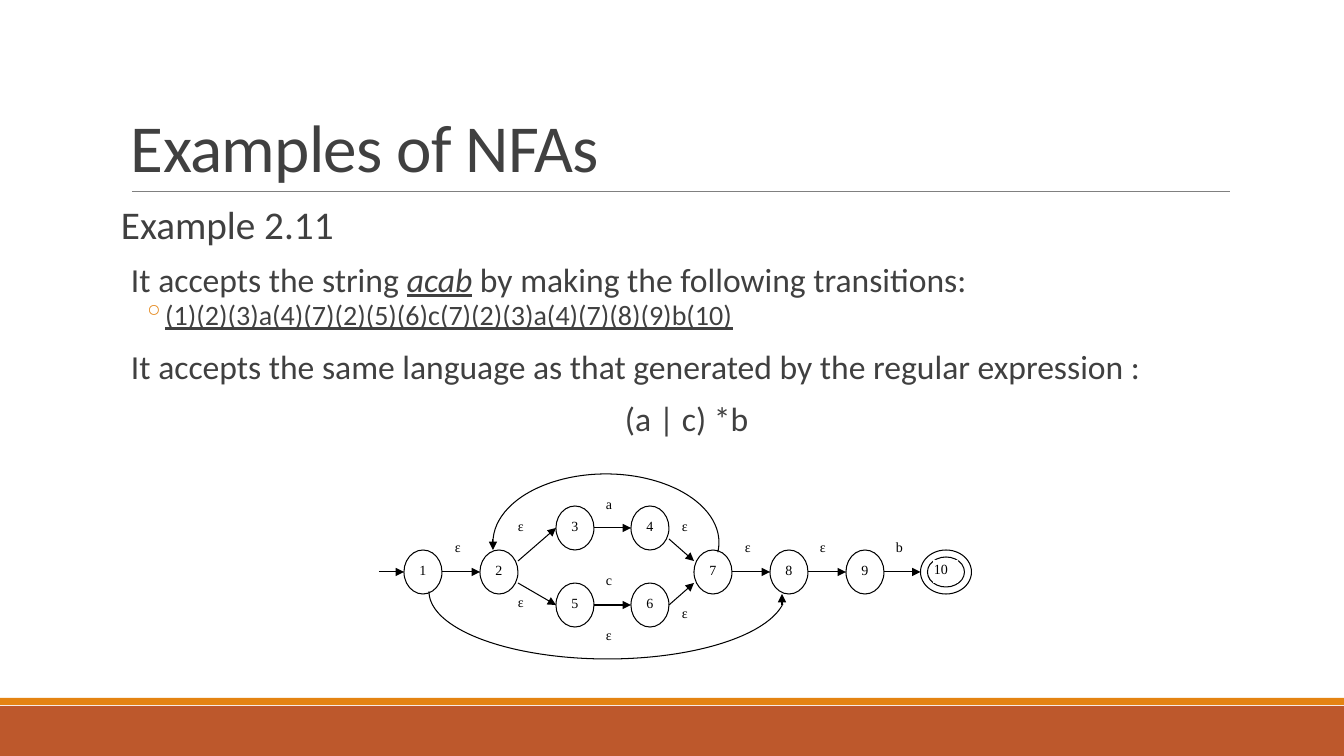
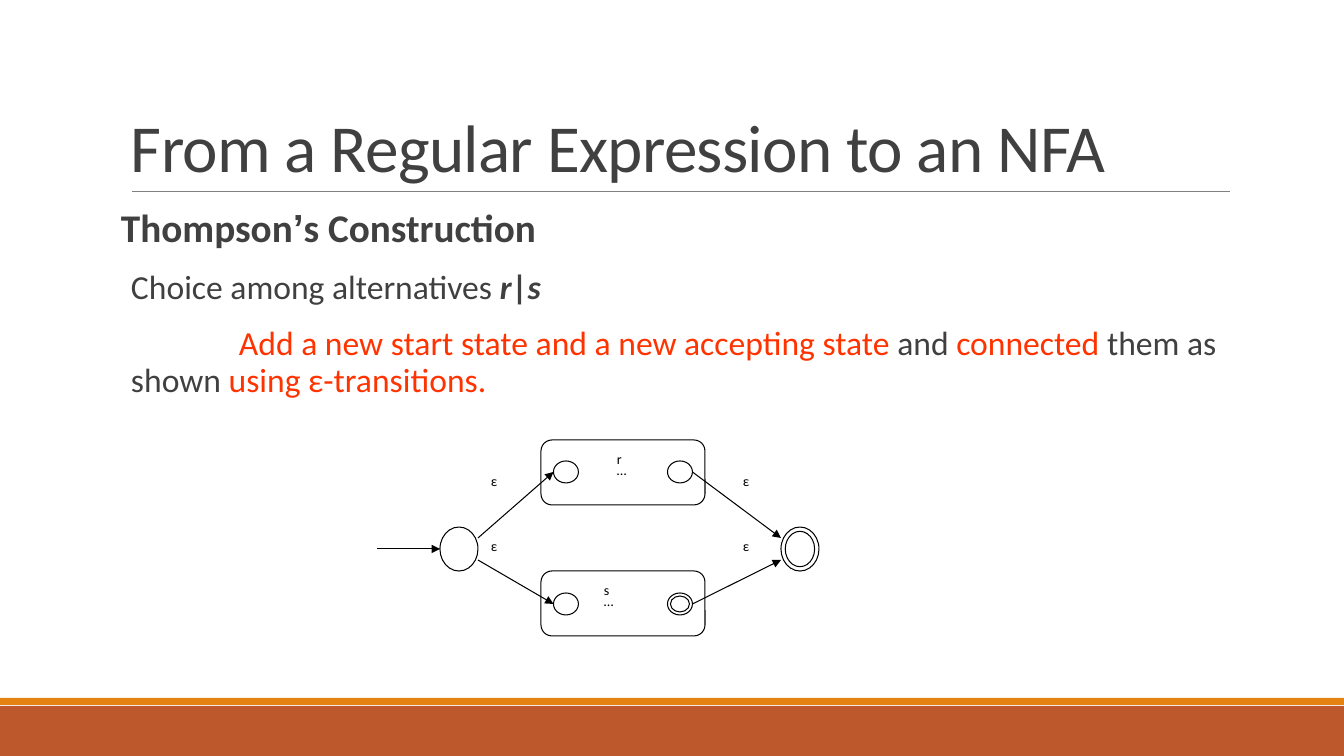
from lxml import etree
from pptx import Presentation
from pptx.dml.color import RGBColor
from pptx.enum.shapes import MSO_CONNECTOR, MSO_SHAPE
from pptx.enum.text import MSO_ANCHOR, PP_ALIGN
from pptx.oxml.ns import qn
from pptx.util import Pt

RECT, ROUNDED = MSO_SHAPE.RECTANGLE, MSO_SHAPE.ROUNDED_RECTANGLE
ELLIPSE, DONUT, ARC = MSO_SHAPE.OVAL, MSO_SHAPE.DONUT, MSO_SHAPE.ARC
STRAIGHT = MSO_CONNECTOR.STRAIGHT
LEFT, CENTER = PP_ALIGN.LEFT, PP_ALIGN.CENTER
TOP, BOTTOM = MSO_ANCHOR.TOP, MSO_ANCHOR.BOTTOM

WHITE = RGBColor(0xFF, 0xFF, 0xFF)
BLACK = RGBColor(0x00, 0x00, 0x00)
TEXT = RGBColor(0x40, 0x40, 0x40)
GRAY = RGBColor(0x80, 0x80, 0x80)
ORANGE = RGBColor(0xE4, 0x83, 0x12)
RUST = RGBColor(0xBD, 0x58, 0x2C)
RED = RGBColor(0xFF, 0x33, 0x00)

EMU_PER_PX = 9144000 / 1008
SLIDE_SIZE = (1344, 756)
BANDS = [((0, 706, 1344, 50), RUST), ((0, 698, 1344, 7), ORANGE)]
TITLE_RULE = ((132, 191), (1230, 191))
TITLE_BOX = (121, 31, 1109, 160)
BODY_BOX = (121, 204, 1109, 251)
STATE_SIZE, SMALL_STATE = (38, 44), (25, 22)
LABEL_SIZE = (12, 22)
SLANT = 11  # vertical offset of slanted edges at a state's side

# Paragraph styles: left margin and first-line indent in px, the rest in points
HEADING = {"size": 28, "left": 10, "first": -10, "before": 12, "after": 2}
POINT = {"size": 24, "left": 10, "first": 0, "before": 12, "after": 2}
SUBPOINT = {"size": 20, "left": 42, "first": -20, "before": 2, "after": 4, "bullet": "◦"}
FORMULA = {**POINT, "left": 504}
INDENTED = {**POINT, "first": 108}

MID, UPPER, LOWER = 572, 528, 605
R_ROW, S_ROW, CENTER_ROW = 472, 604, 549

SLIDES = [
    {
        "title": "Examples of NFAs",
        "line_spacing": 0.8,
        "body": [
            (HEADING, [("Example 2.11", {})]),
            (POINT, [
                ("It accepts the string ", {}),
                ("acab", {"italic": True, "underline": True}),
                (" by making the following transitions:", {}),
            ]),
            (SUBPOINT, [("(1)(2)(3)a(4)(7)(2)(5)(6)c(7)(2)(3)a(4)(7)(8)(9)b(10)",
                         {"underline": True})]),
            (POINT, [("It accepts the same language as that generated by "
                      "the regular expression :", {})]),
            (FORMULA, [("(a | c) *b", {})]),
        ],
        "font": "Times New Roman",
        "boxes": [],
        # name: (center x, center y, size, gap to the inner ring)
        "states": {
            "1": (423, MID, STATE_SIZE, 0),
            "2": (499, MID, STATE_SIZE, 0),
            "3": (575, UPPER, STATE_SIZE, 0),
            "4": (650, UPPER, STATE_SIZE, 0),
            "5": (575, LOWER, STATE_SIZE, 0),
            "6": (650, LOWER, STATE_SIZE, 0),
            "7": (713, MID, STATE_SIZE, 0),
            "8": (789, MID, STATE_SIZE, 0),
            "9": (865, MID, STATE_SIZE, 0),
            "10": (946, MID, (51, 44), 7),
        },
        "captions": "123456789",
        "entry": ("1", 379),
        # from, to, offset at the start, offset at the end
        "edges": [
            ("1", "2", 0, 0), ("2", "3", -SLANT, 0), ("2", "5", SLANT, 0),
            ("3", "4", 0, 0), ("5", "6", 0, 0), ("4", "7", SLANT, -SLANT),
            ("6", "7", 0, SLANT), ("7", "8", 0, 0), ("8", "9", 0, 0),
            ("9", "10", 0, 0),
        ],
        "labels": [
            ("ε", 455, 539), ("ε", 518, 518), ("ε", 518, 594), ("a", 606, 496),
            ("c", 606, 572), ("ε", 682, 518), ("ε", 682, 605), ("ε", 745, 539),
            ("ε", 820, 539), ("b", 896, 539), ("ε", 606, 627), ("10", 934, 561),
        ],
        # ellipse box, start and end angle, arrowhead line
        "arcs": [
            ((429, 524, 357, 135), (4, 180), ((782, 605), (782, 594))),
            ((493, 474, 226, 137), (177, 5), ((493, 539), (493, 550))),
        ],
    },
    {
        "title": "From a Regular Expression to an NFA",
        "line_spacing": 0.9,
        "body": [
            (HEADING, [
                ("Thompson", {"bold": True}),
                ("’", {"bold": True, "name": "Arial"}),
                ("s Construction", {"bold": True}),
            ]),
            (POINT, [
                ("Choice among alternatives ", {}),
                ("r", {"bold": True, "italic": True}),
                ("|", {"bold": True}),
                ("s", {"bold": True, "italic": True}),
            ]),
            (INDENTED, [
                ("Add a new start state and a new accepting state", {"color": RED}),
                (" and ", {}),
                ("connected", {"color": RED}),
                (" them as shown", {}),
                (" using ε-transitions.", {"color": RED}),
            ]),
        ],
        "font": "Calibri",
        "boxes": [(541, 440, 164, 65), (541, 571, 164, 65)],
        "states": {
            "start": (459, CENTER_ROW, STATE_SIZE, 0),
            "r first": (566, R_ROW, SMALL_STATE, 0),
            "r last": (680, R_ROW, SMALL_STATE, 0),
            "s first": (566, S_ROW, SMALL_STATE, 0),
            "s last": (680, S_ROW, SMALL_STATE, 3),
            "accept": (800, CENTER_ROW, STATE_SIZE, 5),
        },
        "captions": "",
        "entry": ("start", 377),
        "edges": [
            ("start", "r first", -SLANT, 0), ("start", "s first", SLANT, 0),
            ("r last", "accept", 0, -SLANT), ("s last", "accept", 0, SLANT),
        ],
        "labels": [
            ("…", 617, 462), ("r", 617, 451), ("…", 604, 593), ("s", 604, 582),
            ("ε", 491, 473), ("ε", 491, 538), ("ε", 743, 473), ("ε", 743, 538),
        ],
        "arcs": [],
    },
]


def px(value):
    return round(value * EMU_PER_PX)


def add_run(paragraph, text, style):
    run = paragraph.add_run()
    run.text = text
    style = dict(style)
    run.font.color.rgb = style.pop("color")
    run.font.size = Pt(style.pop("size"))
    for attribute, value in style.items():
        setattr(run.font, attribute, value)
    return run


def set_frame(frame, insets, anchor):
    """Set wrapping, anchor and (horizontal, vertical) insets."""
    frame.word_wrap = True
    frame.vertical_anchor = anchor
    frame.margin_left = frame.margin_right = px(insets[0])
    frame.margin_top = frame.margin_bottom = px(insets[1])


def add_shape(slide, kind, box, fill, line=None):
    shape = slide.shapes.add_shape(kind, *map(px, box))
    shape.shadow.inherit = False
    if fill is None:
        shape.fill.background()
    else:
        shape.fill.solid()
        shape.fill.fore_color.rgb = fill
    if line is None:
        shape.line.fill.background()
    else:
        shape.line.color.rgb = line
        shape.line.width = Pt(0.75)
    return shape


def add_line(slide, start, end, color=BLACK, width=0.75, arrow=True):
    line = slide.shapes.add_connector(STRAIGHT, *map(px, (*start, *end)))
    line.line.color.rgb = color
    line.line.width = Pt(width)
    if arrow:
        etree.SubElement(line.line._get_or_add_ln(), qn("a:tailEnd"), type="triangle")
    etree.SubElement(line._element.spPr, qn("a:effectLst"))


def add_caption(shape, text, font, insets, align):
    set_frame(shape.text_frame, insets, TOP)
    paragraph = shape.text_frame.paragraphs[0]
    paragraph.alignment = align
    add_run(paragraph, text, {"size": 10, "name": font, "color": BLACK})


def add_title(slide, title):
    frame = slide.shapes.add_textbox(*map(px, TITLE_BOX)).text_frame
    set_frame(frame, (10, 5), BOTTOM)
    paragraph = frame.paragraphs[0]
    paragraph.line_spacing = 0.85
    run = add_run(paragraph, title, {"size": 48, "name": "Calibri", "color": TEXT})
    run.font._element.set("spc", "-50")


def add_body(slide, body, line_spacing):
    frame = slide.shapes.add_textbox(*map(px, BODY_BOX)).text_frame
    set_frame(frame, (0, 5), TOP)
    for index, (style, runs) in enumerate(body):
        paragraph = frame.add_paragraph() if index else frame.paragraphs[0]
        properties = paragraph._p.get_or_add_pPr()
        properties.set("marL", str(px(style["left"])))
        properties.set("indent", str(px(style["first"])))
        if "bullet" in style:
            color = etree.SubElement(properties, qn("a:buClr"))
            etree.SubElement(color, qn("a:srgbClr"), val=str(ORANGE))
            etree.SubElement(properties, qn("a:buChar"), char=style["bullet"])
        paragraph.line_spacing = line_spacing
        paragraph.space_before = Pt(style["before"] if index else 0)
        paragraph.space_after = Pt(style["after"])
        base = {"size": style["size"], "name": "Calibri", "color": TEXT}
        for text, changes in runs:
            add_run(paragraph, text, {**base, **changes})


def add_automaton(slide, content):
    states, font = content["states"], content["font"]

    def side(name, direction, offset=0):
        """Point on the left (-1) or right (1) side of a state."""
        x, y, (width, _), _ = states[name]
        return x + direction * width / 2, y + offset

    for box in content["boxes"]:
        add_shape(slide, ROUNDED, box, WHITE, BLACK).adjustments[0] = 0.17
    for name, (x, y, (width, height), gap) in states.items():
        box = (x - width / 2, y - height / 2, width, height)
        state = add_shape(slide, DONUT if gap else ELLIPSE, box, WHITE, BLACK)
        if gap:
            state.adjustments[0] = gap / height
        if name in content["captions"]:
            add_caption(state, name, font, (0, 5), CENTER)
    for text, left, top in content["labels"]:
        width, height = LABEL_SIZE
        label = add_shape(slide, RECT, (left, top, width * len(text), height), WHITE, WHITE)
        add_caption(label, text, font, (0, 0), LEFT)

    first, entry_x = content["entry"]
    add_line(slide, (entry_x, states[first][1]), side(first, -1))
    for source, target, leave, arrive in content["edges"]:
        add_line(slide, side(source, 1, leave), side(target, -1, arrive))
    for box, angles, (start, end) in content["arcs"]:
        arc = add_shape(slide, ARC, box, None, BLACK)
        for index, angle in enumerate(angles):
            arc.adjustments[index] = angle * 0.6  # 60000ths of a degree / 100000
        add_line(slide, start, end)


def main():
    deck = Presentation()
    deck.slide_width, deck.slide_height = map(px, SLIDE_SIZE)
    for content in SLIDES:
        slide = deck.slides.add_slide(deck.slide_layouts[6])
        for box, color in BANDS:
            add_shape(slide, RECT, box, color)
        add_line(slide, *TITLE_RULE, color=GRAY, width=0.5, arrow=False)
        add_title(slide, content["title"])
        add_body(slide, content["body"], content["line_spacing"])
        add_automaton(slide, content)
    deck.save("out.pptx")


if __name__ == "__main__":
    main()
